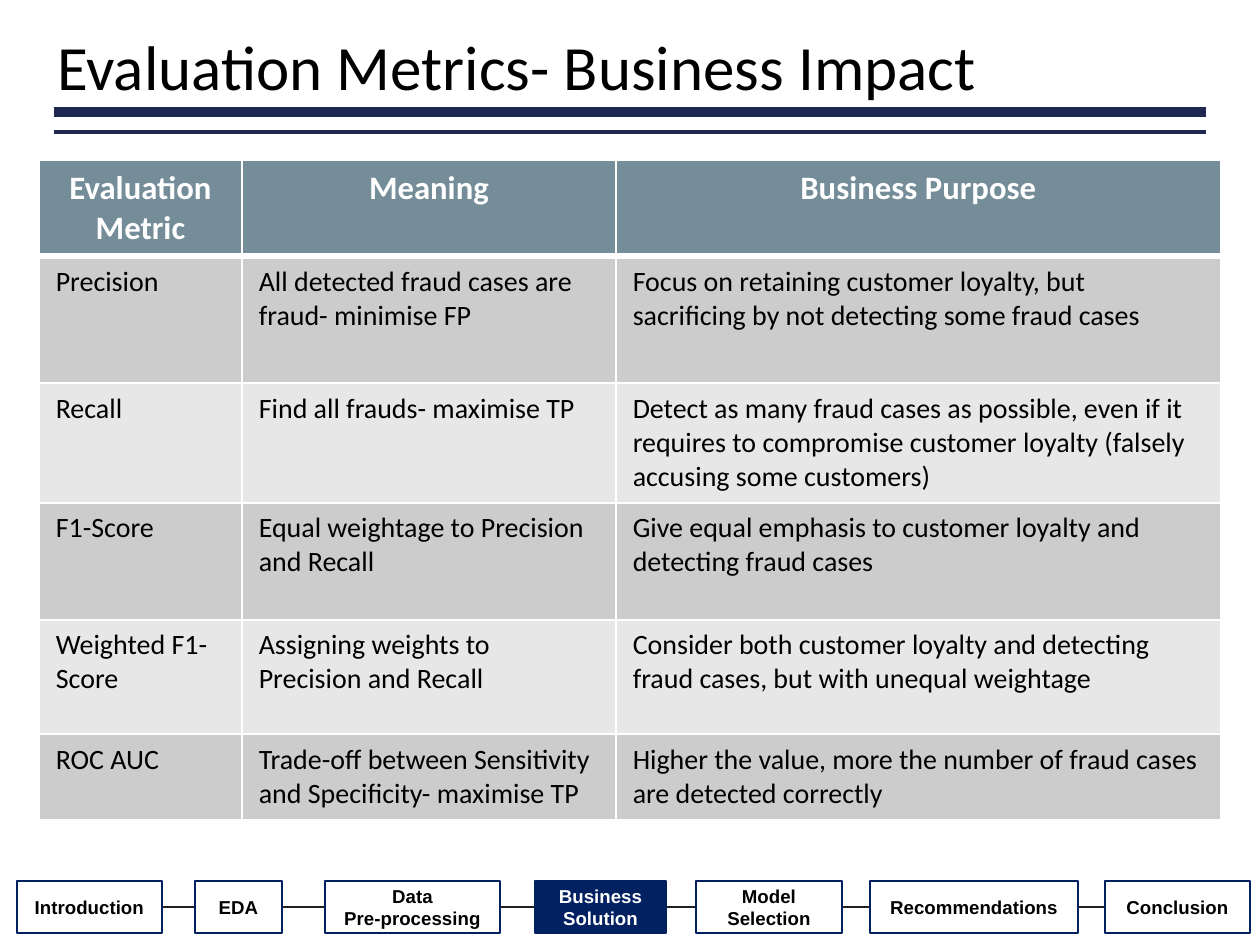
"""Build the evaluation metrics slide with its table and progress bar."""
from dataclasses import dataclass
from itertools import pairwise

from lxml.etree import SubElement
from pptx import Presentation
from pptx.dml.color import RGBColor
from pptx.enum.shapes import MSO_CONNECTOR as Connector, MSO_SHAPE as Preset
from pptx.enum.text import MSO_ANCHOR as Anchor, MSO_AUTO_SIZE as AutoSize, PP_ALIGN as Align
from pptx.oxml.ns import qn
from pptx.slide import Slide
from pptx.text.text import TextFrame
from pptx.util import Emu, Pt

COLOURS = {
    "black": "000000", "white": "FFFFFF", "navy": "002060", "active": "012161",
    "rule": "1F284F", "link": "202020", "header": "748D99",
    "dark band": "CCCCCC", "light band": "E7E7E7",
}
STEP_TOP, STEP_HEIGHT = 881, 52
COLUMN_WIDTHS = (203, 374, 605)
ROW_HEIGHTS = (96, 127, 119, 117, 115, 86)
METRICS = (
    ("Evaluation Metric", "Meaning", "Business Purpose"),
    ("Precision", "All detected fraud cases are fraud- minimise FP",
     "Focus on retaining customer loyalty, but sacrificing by not detecting some fraud cases"),
    ("Recall", "Find all frauds- maximise TP",
     "Detect as many fraud cases as possible, even if it requires to compromise "
     "customer loyalty (falsely accusing some customers)"),
    ("F1-Score", "Equal weightage to Precision and Recall",
     "Give equal emphasis to customer loyalty and detecting fraud cases"),
    ("Weighted F1-Score", "Assigning weights to Precision and Recall",
     "Consider both customer loyalty and detecting fraud cases, but with unequal weightage"),
    ("ROC AUC", "Trade-off between Sensitivity and Specificity- maximise TP",
     "Higher the value, more the number of fraud cases are detected correctly"),
)


@dataclass(frozen=True)
class Step:
    label: str
    left: int
    width: int
    active: bool = False


@dataclass(frozen=True)
class Rule:
    left: int
    right: int
    y: int
    colour: str
    weight: float


STEPS = (
    Step("Introduction", 17, 145),
    Step("EDA", 195, 87),
    Step("Data\nPre-processing", 325, 175),
    Step("Business Solution", 535, 131, active=True),
    Step("Model Selection", 696, 146),
    Step("Recommendations", 870, 208),
    Step("Conclusion", 1105, 145),
)
TITLE_RULES = (Rule(54, 1206, 112, "rule", 4.5), Rule(54, 1206, 132, "rule", 1.5))


def px(length: int) -> Emu:
    return Emu(round(length * 914400 / 168))


def rgb(name: str) -> RGBColor:
    return RGBColor.from_string(COLOURS[name])


def format_text(frame: TextFrame, font: str, size: int, colour: str,
                bold: bool, align: Align) -> None:
    for paragraph in frame.paragraphs:
        paragraph.alignment = align
        for run in paragraph.runs:
            run.font.name, run.font.size, run.font.bold = font, Pt(size), bold
            run.font.color.rgb = rgb(colour)


def set_insets(frame: TextFrame, side: int, edge: int) -> None:
    frame.margin_left = frame.margin_right = px(side)
    frame.margin_top = frame.margin_bottom = px(edge)


def draw_rule(slide: Slide, rule: Rule) -> None:
    line = slide.shapes.add_connector(
        Connector.STRAIGHT, px(rule.left), px(rule.y), px(rule.right), px(rule.y))
    line.line.color.rgb = rgb(rule.colour)
    line.line.width = Pt(rule.weight)
    SubElement(line._element.spPr, qn("a:effectLst"))


def draw_step(slide: Slide, step: Step) -> None:
    box = slide.shapes.add_shape(
        Preset.RECTANGLE, px(step.left), px(STEP_TOP), px(step.width), px(STEP_HEIGHT))
    box.shadow.inherit = False
    box.fill.solid()
    box.fill.fore_color.rgb = rgb("active" if step.active else "white")
    box.line.color.rgb = rgb("navy")
    box.line.width = Pt(1)
    frame = box.text_frame
    frame.text = step.label
    frame.word_wrap = True
    frame.vertical_anchor = Anchor.MIDDLE
    set_insets(frame, 10, 0)
    format_text(frame, "Arial", 8, "white" if step.active else "black", True, Align.CENTER)


def draw_title(slide: Slide) -> None:
    title = slide.shapes.title
    title.left, title.top, title.width, title.height = px(47), px(27), px(1158), px(86)
    frame = title.text_frame
    frame.text = "Evaluation Metrics- Business Impact"
    frame.word_wrap = True
    frame.auto_size = AutoSize.NONE
    frame.vertical_anchor = Anchor.MIDDLE
    set_insets(frame, 10, 5)
    frame.paragraphs[0].line_spacing = 0.9
    format_text(frame, "Calibri", 27, "black", False, Align.LEFT)


def draw_metrics(slide: Slide) -> None:
    table = slide.shapes.add_table(
        len(METRICS), len(COLUMN_WIDTHS), px(39), px(160),
        px(sum(COLUMN_WIDTHS)), px(sum(ROW_HEIGHTS))).table
    for column, width in zip(table.columns, COLUMN_WIDTHS):
        column.width = px(width)
    for index, (row, height, texts) in enumerate(zip(table.rows, ROW_HEIGHTS, METRICS)):
        row.height = px(height)
        header = index == 0
        band = "header" if header else ("light band", "dark band")[index % 2]
        weights = {"L": 1, "R": 1, "T": 3 if index == 1 else 1, "B": 3 if header else 1}
        for cell, text in zip(row.cells, texts):
            for side, weight in weights.items():
                border = SubElement(cell._tc.get_or_add_tcPr(), qn(f"a:ln{side}"), w=str(Pt(weight)))
                paint = SubElement(border, qn("a:solidFill"))
                SubElement(paint, qn("a:srgbClr"), val=COLOURS["white"])
            cell.fill.solid()
            cell.fill.fore_color.rgb = rgb(band)
            cell.text_frame.text = text
            if header:
                format_text(cell.text_frame, "Calibri", 14, "white", True, Align.CENTER)
            else:
                format_text(cell.text_frame, "Calibri", 12, "black", False, Align.LEFT)


def main() -> None:
    deck = Presentation()
    deck.slide_width, deck.slide_height = px(1260), px(945)
    slide = deck.slides.add_slide(deck.slide_layouts.get_by_name("Title Only"))
    for before, after in pairwise(STEPS):
        middle = STEP_TOP + STEP_HEIGHT // 2
        draw_rule(slide, Rule(before.left + before.width, after.left, middle, "link", 0.75))
    for step in STEPS:
        draw_step(slide, step)
    draw_metrics(slide)
    for rule in TITLE_RULES:
        draw_rule(slide, rule)
    draw_title(slide)
    deck.save("out.pptx")


if __name__ == "__main__":
    main()
